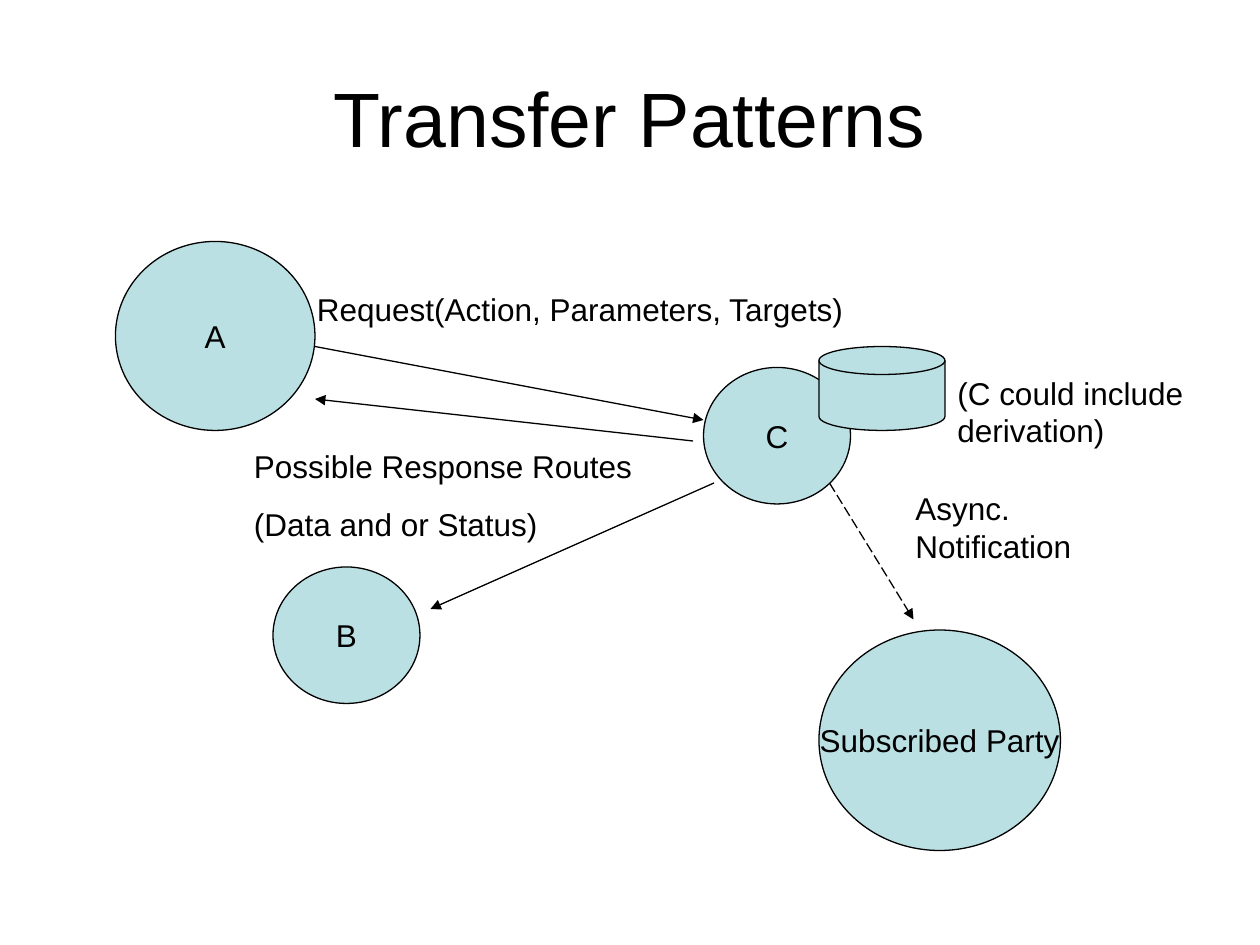
from lxml.etree import SubElement
from pptx import Presentation
from pptx.dml.color import RGBColor
from pptx.enum.dml import MSO_LINE
from pptx.enum.shapes import MSO_CONNECTOR, MSO_SHAPE
from pptx.enum.text import MSO_ANCHOR, PP_ALIGN
from pptx.oxml.ns import qn
from pptx.util import Pt

COLORS = {"ink": "000000", "node": "BBE0E3"}
FONT = "Arial"
LINE_WIDTH = 0.75

# Boxes are left, top, width, height in points
TITLE = ("Transfer Patterns", (36, 21.6, 648, 90))
PARTIES = [
    ("A", (66, 138, 114, 108)),
    ("C", (402, 210, 84, 78)),
    ("B", (156, 324, 84, 78)),
    ("Subscribed Party", (468, 360, 138, 126)),
]
DATA_STORE = (468, 198, 72, 48)
# Start point, end point, dash
MESSAGES = [
    ((180, 198), (402, 240), None),
    ((408, 276), (246, 348), None),
    ((396, 252), (180, 228), None),
    ((474, 276), (522, 354), MSO_LINE.LONG_DASH),
]
LABELS = [
    (["Request(Action, Parameters, Targets)"], (174, 162, 378, 29)),
    (["Possible Response Routes", "(Data and or Status)"], (138, 252, 252, 62)),
    (["Async. Notification"], (516, 276, 162, 50)),
    (["(C could include derivation)"], (540, 210, 222, 50)),
]


def color(name):
    return RGBColor.from_string(COLORS[name])


def points(values):
    return [Pt(value) for value in values]


def write(frame, paragraphs, size=18, align=PP_ALIGN.LEFT,
          anchor=MSO_ANCHOR.TOP, wrap=True, gap=11.2):
    frame.word_wrap = wrap
    frame.vertical_anchor = anchor
    for index, text in enumerate(paragraphs):
        paragraph = frame.add_paragraph() if index else frame.paragraphs[0]
        paragraph.text = text
        paragraph.alignment = align
        paragraph.space_before = Pt(gap if index else 0)
        paragraph.font.size = Pt(size)
        paragraph.font.name = FONT
        paragraph.font.color.rgb = color("ink")


def add_node(slide, kind, box):
    node = slide.shapes.add_shape(kind, *points(box))
    node.shadow.inherit = False
    node.fill.solid()
    node.fill.fore_color.rgb = color("node")
    node.line.color.rgb = color("ink")
    node.line.width = Pt(LINE_WIDTH)
    return node


def add_arrow(slide, start, end, dash):
    arrow = slide.shapes.add_connector(MSO_CONNECTOR.STRAIGHT, *points(start + end))
    arrow.line.color.rgb = color("ink")
    arrow.line.width = Pt(LINE_WIDTH)
    if dash:
        arrow.line.dash_style = dash
    properties = arrow.line._get_or_add_ln()
    SubElement(properties, qn("a:tailEnd"), type="triangle")
    SubElement(properties.getparent(), qn("a:effectLst"))


def main():
    deck = Presentation()
    deck.slide_width, deck.slide_height = Pt(720), Pt(540)
    slide = deck.slides.add_slide(deck.slide_layouts[6])

    title, title_box = TITLE
    heading = slide.shapes.add_textbox(*points(title_box))
    write(heading.text_frame, [title], size=44,
          align=PP_ALIGN.CENTER, anchor=MSO_ANCHOR.MIDDLE)

    for party, box in PARTIES:
        node = add_node(slide, MSO_SHAPE.OVAL, box)
        write(node.text_frame, [party], align=PP_ALIGN.CENTER,
              anchor=MSO_ANCHOR.MIDDLE, wrap=False)
    for start, end, dash in MESSAGES:
        add_arrow(slide, start, end, dash)
    for paragraphs, box in LABELS:
        write(slide.shapes.add_textbox(*points(box)).text_frame, paragraphs)
    add_node(slide, MSO_SHAPE.FLOWCHART_MAGNETIC_DISK, DATA_STORE)

    deck.save("out.pptx")


if __name__ == "__main__":
    main()
